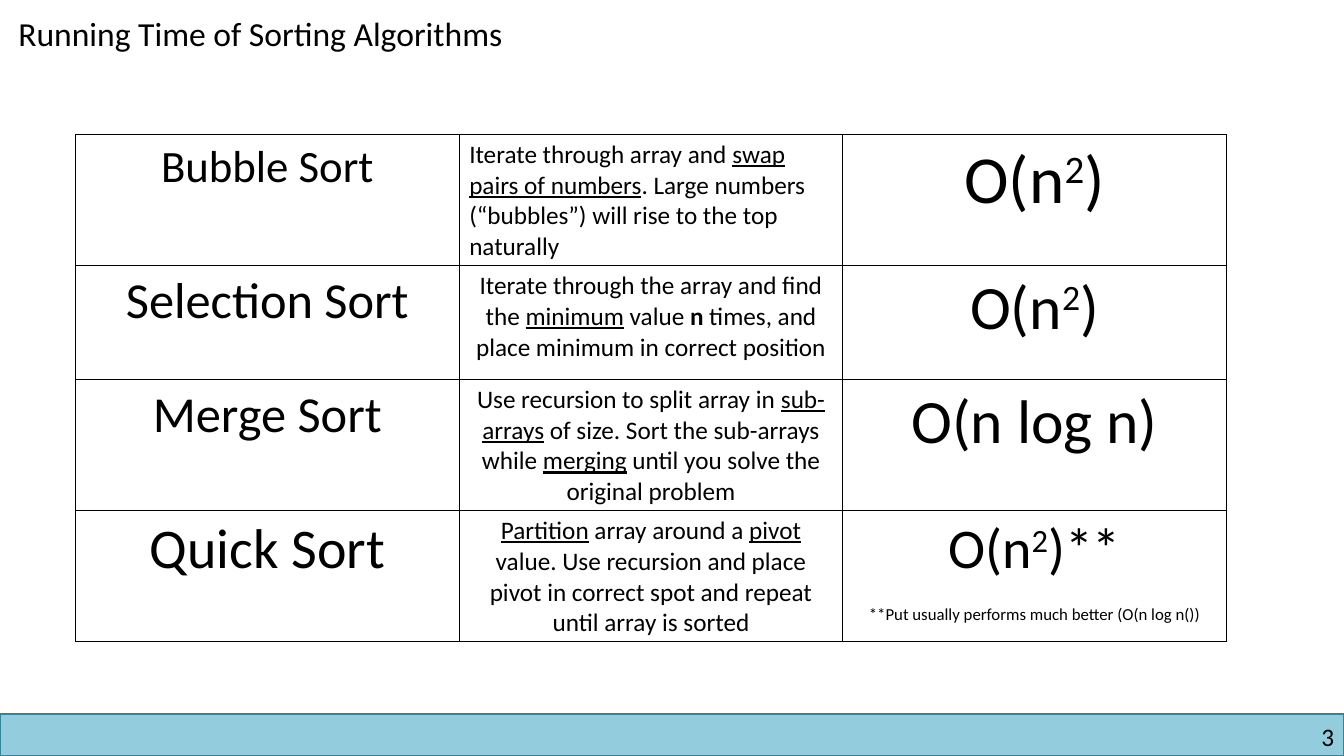
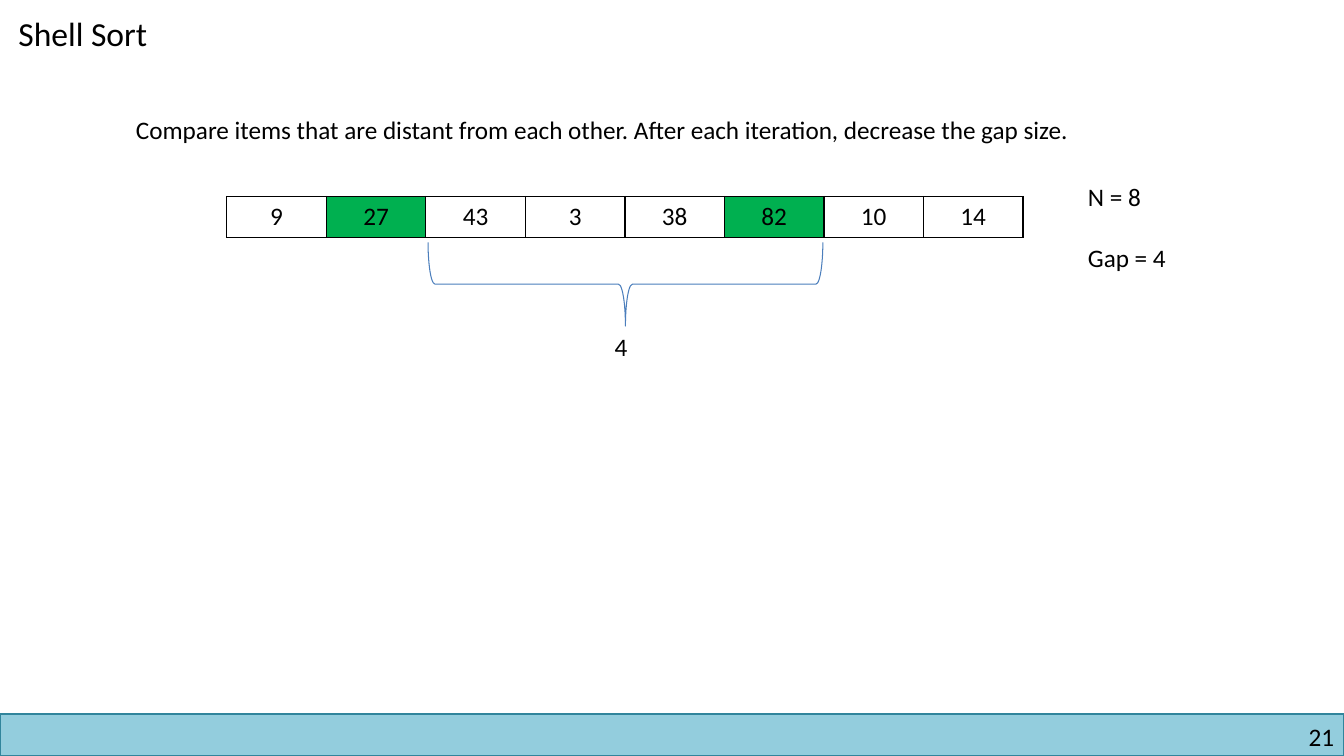
from lxml.etree import SubElement
from pptx import Presentation
from pptx.dml.color import RGBColor
from pptx.enum.shapes import MSO_SHAPE
from pptx.enum.text import PP_ALIGN
from pptx.oxml import parse_xml
from pptx.oxml.ns import nsdecls, qn
from pptx.util import Pt

BLACK = RGBColor(0x00, 0x00, 0x00)
WHITE = RGBColor(0xFF, 0xFF, 0xFF)
GREEN = RGBColor(0x00, 0xB0, 0x50)
BAND_FILL = RGBColor(0x93, 0xCD, 0xDD)
BAND_LINE = RGBColor(0x31, 0x85, 0x9C)
BRACE_LINE = RGBColor(0x4B, 0x7E, 0xBC)

UNDERLINE = {"underline": True}
BOLD = {"bold": True}
SUPER = {"superscript": True}


def add_run(p, text, size=18, bold=False, underline=False, superscript=False,
            font="Calibri", color=BLACK):
    r = p.add_run()
    r.text = text
    r.font.name = font
    r.font.size = Pt(size)
    r.font.bold = bold
    r.font.underline = underline
    r.font.color.rgb = color
    if superscript:
        r.font._element.set("baseline", "30000")


def add_parts(p, parts, size=18, align=PP_ALIGN.LEFT, before=0):
    p.alignment = align
    if before:
        p.space_before = Pt(before)
    for part in parts:
        text, style = (part, {}) if isinstance(part, str) else part
        add_run(p, text, size=size, **style)


class Deck:
    width, height = 960, 540
    band_top = 510
    margin = 6

    def __init__(self):
        self.prs = Presentation()
        self.prs.slide_width = Pt(self.width)
        self.prs.slide_height = Pt(self.height)
        self.s = None

    def slide(self, title, number):
        self.s = self.prs.slides.add_slide(self.prs.slide_layouts[6])
        self.shape(MSO_SHAPE.RECTANGLE, 0, self.band_top, self.width,
                   self.height - self.band_top, BAND_LINE, 1, fill=BAND_FILL)
        self.text([number], 732, 515, 221, 22, align=PP_ALIGN.RIGHT, inset=0)
        self.text([title], self.margin, self.margin, 397, 36, size=24)

    def shape(self, kind, x, y, w, h, line, weight, fill=None, rotation=0):
        sp = self.s.shapes.add_shape(kind, Pt(x), Pt(y), Pt(w), Pt(h))
        sp.shadow.inherit = False
        sp.rotation = rotation
        sp.line.color.rgb = line
        sp.line.width = Pt(weight)
        if fill is None:
            sp.fill.background()
        else:
            sp.fill.solid()
            sp.fill.fore_color.rgb = fill

    def text(self, paragraphs, x, y, w, h, size=18, align=PP_ALIGN.LEFT,
             gap=0, inset=None):
        tf = self.s.shapes.add_textbox(Pt(x), Pt(y), Pt(w), Pt(h)).text_frame
        tf.word_wrap = True
        if inset is not None:
            tf.margin_left = tf.margin_right = Pt(inset)
            tf.margin_top = tf.margin_bottom = Pt(inset)
        for i, text in enumerate(paragraphs):
            p = tf.add_paragraph() if i else tf.paragraphs[0]
            add_parts(p, [text], size=size, align=align, before=gap if i else 0)

    def table(self, x, y, col_width, row_heights, cols):
        table = self.s.shapes.add_table(
            len(row_heights), cols, Pt(x), Pt(y),
            Pt(col_width * cols), Pt(sum(row_heights))).table
        table.first_row = table.horz_banding = False
        for col in table.columns:
            col.width = Pt(col_width)
        for row, height in zip(table.rows, row_heights):
            row.height = Pt(height)
        return table

    def cell(self, cell, parts, size=18, align=PP_ALIGN.CENTER, fill=WHITE):
        tcPr = cell._tc.get_or_add_tcPr()
        for side in ("lnL", "lnR", "lnT", "lnB"):
            ln = parse_xml(f'<a:{side} {nsdecls("a")} w="{Pt(1)}"/>')
            color = SubElement(SubElement(ln, qn("a:solidFill")), qn("a:srgbClr"))
            color.set("val", str(BLACK))
            tcPr.append(ln)
        cell.fill.solid()
        cell.fill.fore_color.rgb = fill
        add_parts(cell.text_frame.paragraphs[0], parts, size=size, align=align)


SORTS = [
    ("Bubble Sort", 32,
     ["Iterate through array and ", ("swap pairs of numbers", UNDERLINE),
      ". Large numbers (“bubbles”) will rise to the top naturally"],
     PP_ALIGN.LEFT, ["O(n", ("2", SUPER), ")"], 48),
    ("Selection Sort", 36,
     ["Iterate through the array and find the ", ("minimum", UNDERLINE),
      " value ", ("n", BOLD), " times, and place minimum in correct position"],
     PP_ALIGN.CENTER, ["O(n", ("2", SUPER), ")"], 44),
    ("Merge Sort", 36,
     ["Use recursion to split array in ", ("sub-arrays", UNDERLINE),
      " of size. Sort the sub-arrays while ", ("merging", UNDERLINE),
      " until you solve the original problem"],
     PP_ALIGN.CENTER, ["O(n log n)"], 44),
    ("Quick Sort", 40,
     [("Partition", UNDERLINE), " array around a ", ("pivot", UNDERLINE),
      " value. Use recursion and place pivot in correct spot and repeat "
      "until array is sorted"],
     PP_ALIGN.CENTER, ["O(n", ("2", SUPER), ")**"], 40),
]


def running_time(deck):
    deck.slide("Running Time of Sorting Algorithms", "3")
    table = deck.table(54, 96, 274, [93.6, 81.4, 93.6, 93.6], 3)
    for i, (name, name_size, steps, align, cost, cost_size) in enumerate(SORTS):
        deck.cell(table.cell(i, 0), [name], size=name_size)
        deck.cell(table.cell(i, 1), steps, align=align)
        deck.cell(table.cell(i, 2), cost, size=cost_size)
    footnote = table.cell(len(SORTS) - 1, 2).text_frame.add_paragraph()
    add_parts(footnote, ["**Put usually performs much better (O(n log n())"],
              size=12, align=PP_ALIGN.CENTER, before=14.6)


def shell_sort(deck):
    values = [9, 27, 43, 3, 38, 82, 10, 14]
    compared = (27, 82)
    deck.slide("Shell Sort", "21")
    deck.text(["Compare items that are distant from each other. "
               "After each iteration, decrease the gap size."], 90, 78, 746, 29)
    table = deck.table(162, 140.4, 71.1, [29.5], len(values))
    for i, value in enumerate(values):
        deck.cell(table.cell(0, i), [str(value)],
                  fill=GREEN if value in compared else WHITE)
    deck.text(["N = 8", "Gap = 4"], 770, 126, 80, 73, gap=22)
    deck.shape(MSO_SHAPE.LEFT_BRACE, 416.9, 62, 59.8, 282, BRACE_LINE, 0.75,
               rotation=270)
    deck.text(["4"], 432, 233.3, 24.5, 29)


def main():
    deck = Deck()
    running_time(deck)
    shell_sort(deck)
    deck.prs.save("out.pptx")


if __name__ == "__main__":
    main()
